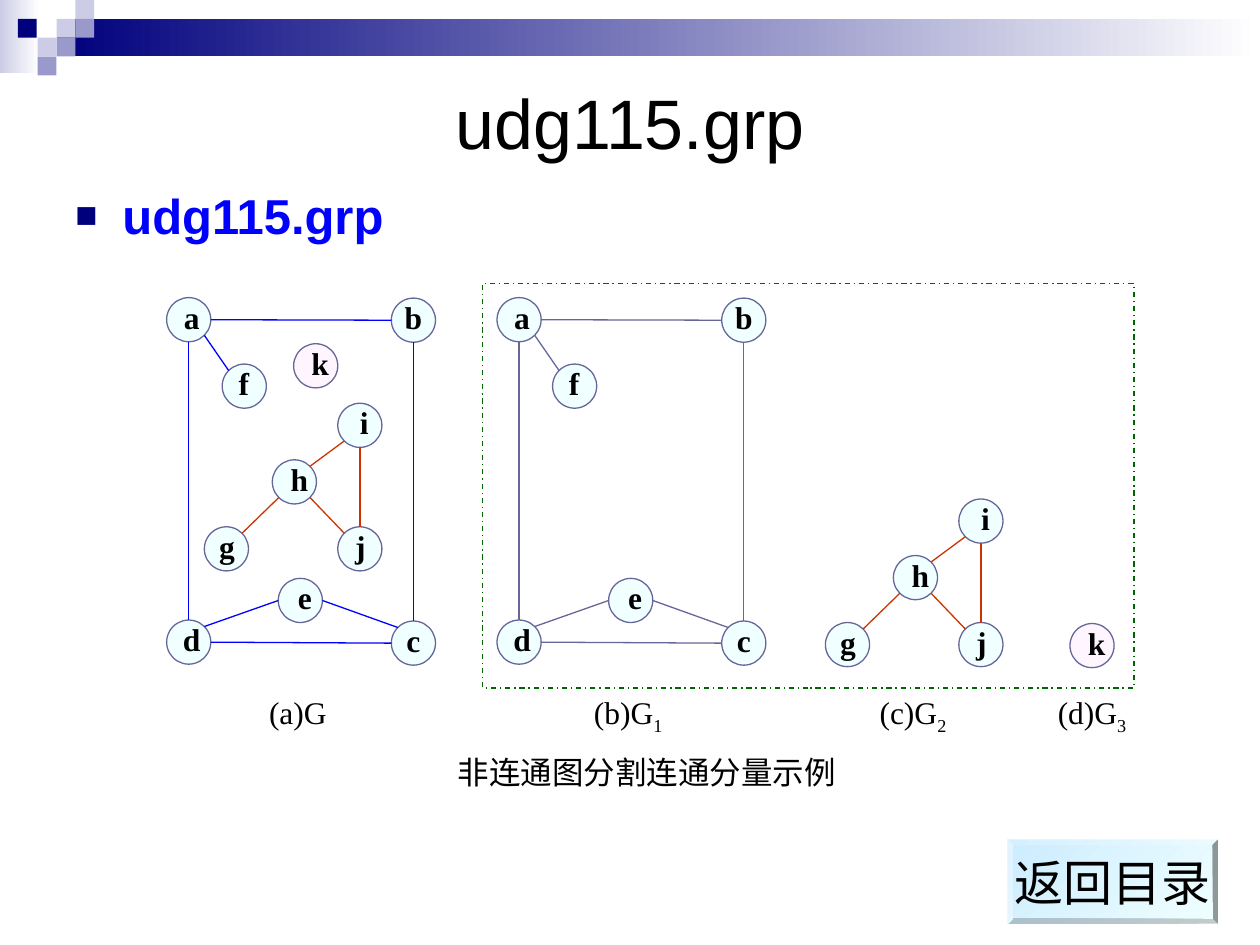
from lxml import etree
from pptx import Presentation, util as u
from pptx.dml.color import RGBColor
from pptx.enum import dml, shapes, text
from pptx.oxml.ns import qn

# Content; lengths in centimetres
SERIF, SANS = "Times New Roman", "Arial"
CYAN, PINK, SLATE, BLUE, RED = "F0FFFF", "FFF5FF", "666699", "0000FF", "CC3300"
NAVY, LILAC, VIOLET = "00007D", "CCCCE6", "9999CC"
NODE, LABEL = 0.89, (0.61, 0.74)
LINE = 0.74

BANDS = [((0, 0, 0.79, 1.47), LILAC), ((1.14, 0.38, 24.26, 0.76), NAVY)]
SQUARE = 0.38
SQUARES = [(1.14, 0.38, LILAC), (1.52, 0, LILAC), (1.52, 0.38, VIOLET), (0.76, 0.76, LILAC),
           (0.36, 0.38, NAVY), (1.14, 0.76, VIOLET), (0.76, 1.14, VIOLET)]

# node: left, top, label shift
NODES = {
    "a": (3.36, 6.0, 0.2), "b": (7.89, 6.01, 0.14), "c": (7.89, 12.52, 0.14),
    "d": (3.36, 12.5, 0.2), "e": (5.61, 11.66, 0.23), "f": (4.48, 7.34, 0.13),
    "g": (4.12, 10.62, 0.15), "h": (5.49, 9.27, 0.24), "i": (6.81, 8.13, 0.23),
    "j": (6.81, 10.62, 0.15), "k": (5.92, 6.93, 0.23),
}
# edge: start node, side, end node, side
RING = ["a E b W", "b S c N", "a SE f NW", "a S d N", "d E c W", "d NE e W", "e E c NW"]
TRIANGLE = ["i S j N", "g NE h SW", "h NE i SW", "j NW h SE"]
# component: nodes, edges, edge colour, shift
COMPONENTS = [
    ("abcdef", RING, BLUE, (0, 0)), ("ghij", TRIANGLE, RED, (0, 0)), ("k", [], RED, (0, 0)),
    ("abcdef", RING, SLATE, (6.66, 0)), ("ghij", TRIANGLE, RED, (12.52, 1.93)),
    ("k", [], RED, (15.65, 5.64)),
]
CAPTIONS = [(4.95, "(a)G", ""), (11.61, "(b)G", "1"), (17.35, "(c)G", "2"), (20.96, "(d)G", "3")]
FRAME = (9.73, 5.71, 13.13, 8.16)
INSETS = (0.25, 0.13)

deck = Presentation()
deck.slide_width, deck.slide_height = u.Cm(25.4), u.Cm(19.05)
page = deck.slides.add_slide(deck.slide_layouts[6])


def color(value):
    return RGBColor.from_string(value)


def lengths(values):
    return [u.Cm(value) for value in values]


def apply(target, **values):
    for name, value in values.items():
        setattr(target, name, value)


def add_figure(kind, at, fill=None, line=None):
    """Draw a preset shape; a pair of colours makes a gradient."""
    figure = page.shapes.add_shape(kind, *lengths(at))
    figure.shadow.inherit = False
    if isinstance(fill, tuple):
        figure.fill.gradient()
        for stop, value in zip(figure.fill.gradient_stops, fill):
            stop.color.rgb = color(value)
        figure.fill.gradient_angle = 180
    elif fill:
        figure.fill.solid()
        figure.fill.fore_color.rgb = color(fill)
    else:
        figure.fill.background()
    if line:
        figure.line.color.rgb = color(line)
        figure.line.width = u.Pt(LINE)
    else:
        figure.line.fill.background()
    return figure


def write(box, words, size, font=SERIF, ink="000000", bold=False, low="", insets=INSETS,
          wrap=True, align=text.PP_ALIGN.CENTER, anchor=text.MSO_ANCHOR.TOP):
    side, edge = lengths(insets)
    apply(box.text_frame, word_wrap=wrap, vertical_anchor=anchor, margin_left=side,
          margin_right=side, margin_top=edge, margin_bottom=edge)
    para = box.text_frame.paragraphs[0]
    para.alignment = align
    for part in filter(None, (words, low)):
        span = para.add_run()
        span.text = part
        apply(span.font, size=u.Pt(size), name=font, bold=bold)
        span.font.color.rgb = color(ink)
    if low:
        span.font._element.set("baseline", "-25000")
    return para


def add_text(at, *args, **kwargs):
    return write(page.shapes.add_textbox(*lengths(at)), *args, **kwargs)


def rim(name, side, shift):
    """Point on a node's circle in a compass direction."""
    across = ("E" in side) - ("W" in side)
    down = ("S" in side) - ("N" in side)
    reach = NODE / 2 / (len(side) ** 0.5)
    left, top, _ = NODES[name]
    return left + shift[0] + NODE / 2 + across * reach, top + shift[1] + NODE / 2 + down * reach


# Header decoration
for at, tint in BANDS:
    add_figure(shapes.MSO_SHAPE.RECTANGLE, at, ("FFFFFF", tint))
for left, top, tint in SQUARES:
    add_figure(shapes.MSO_SHAPE.RECTANGLE, (left, top, SQUARE, SQUARE), tint)

# Title and bullet
add_text((1.27, 1.27, 22.86, 2.34), "udg115.grp", 40, SANS, anchor=text.MSO_ANCHOR.MIDDLE)
item = add_text((1.27, 3.61, 22.86, 13.54), "udg115.grp", 28, SANS, BLUE, True,
                align=text.PP_ALIGN.LEFT)
item.space_before = u.Pt(7)
props = item._p.get_or_add_pPr()
props.set("marL", str(u.Cm(0.95)))
props.set("indent", str(u.Cm(-0.95)))
bullet_color = etree.SubElement(props, qn("a:buClr"))
etree.SubElement(bullet_color, qn("a:srgbClr"), val=NAVY)
etree.SubElement(props, qn("a:buSzPct"), val="75000")
etree.SubElement(props, qn("a:buFont"), typeface=SANS)
etree.SubElement(props, qn("a:buChar"), char="■")

# Graph components
for names, edges, ink, shift in COMPONENTS:
    for name in names:
        left, top, nudge = NODES[name]
        left, top = left + shift[0], top + shift[1]
        add_figure(shapes.MSO_SHAPE.OVAL, (left, top, NODE, NODE),
                   PINK if name == "k" else CYAN, SLATE)
        add_text((left + nudge, top, *LABEL), name, 18, bold=True, insets=(0, 0))
    for edge in edges:
        start, start_side, end, end_side = edge.split()
        ends = rim(start, start_side, shift) + rim(end, end_side, shift)
        link = page.shapes.add_connector(shapes.MSO_CONNECTOR.STRAIGHT, *lengths(ends))
        link.line.color.rgb = color(ink)
        link.line.width = u.Pt(LINE)
        etree.SubElement(link._element.spPr, qn("a:effectLst"))

# Captions and frame
for left, words, low in CAPTIONS:
    add_text((left, 13.84, 2.11, 1.12), words, 18, low=low)
add_text((8.36, 15.06, 9.35, 1.12), "非连通图分割连通分量示例", 18)
frame = add_figure(shapes.MSO_SHAPE.RECTANGLE, FRAME, line="006600")
frame.line.dash_style = dml.MSO_LINE.DASH_DOT

# Return button
button = add_figure(shapes.MSO_SHAPE.BEVEL, (20.32, 16.93, 4.23, 1.69), (CYAN, "CCECFF"))
button.fill.gradient_angle = 135
button.adjustments[0] = 0.06
write(button, "返回目录", 28, SANS, wrap=False, anchor=text.MSO_ANCHOR.MIDDLE)

deck.save("out.pptx")
